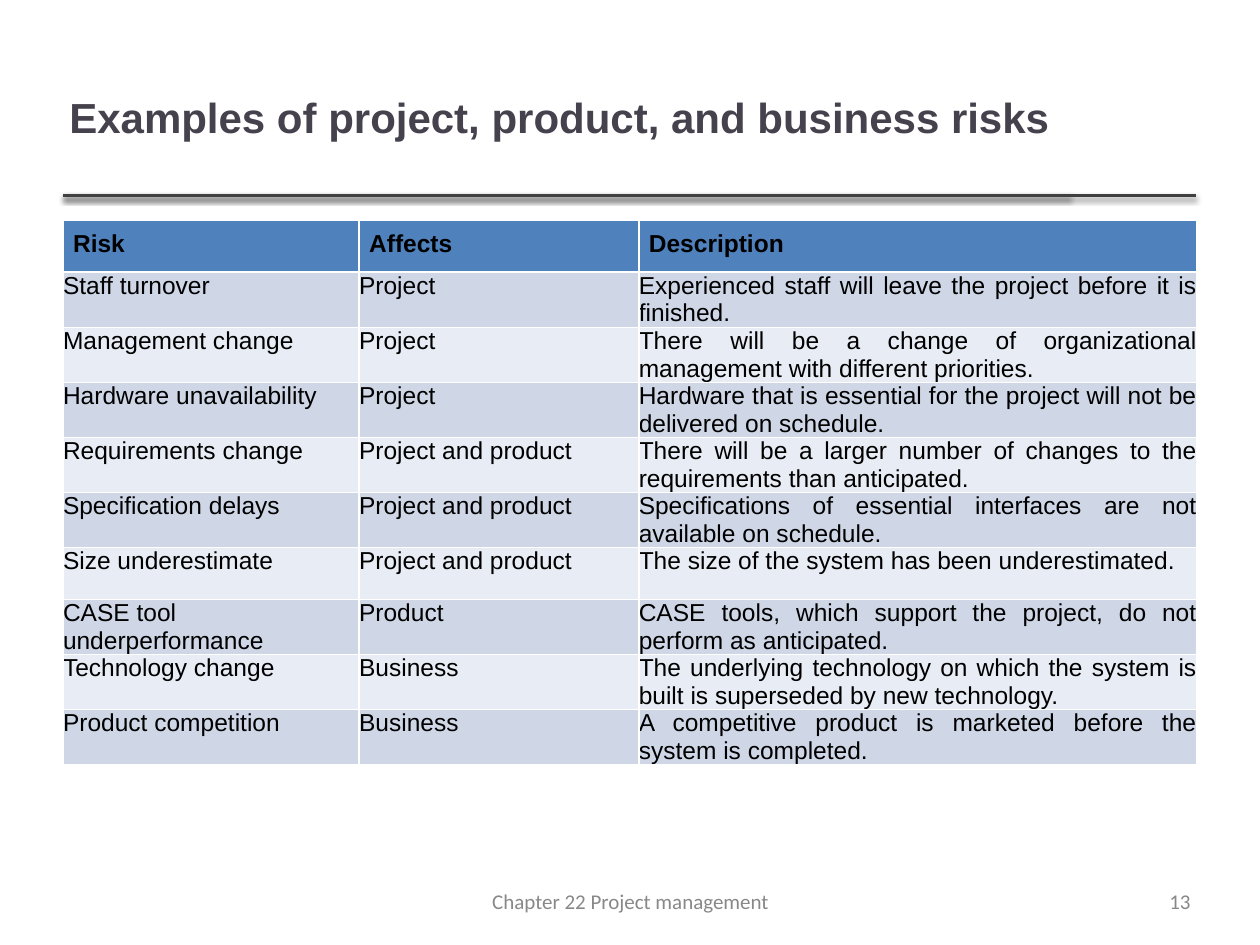
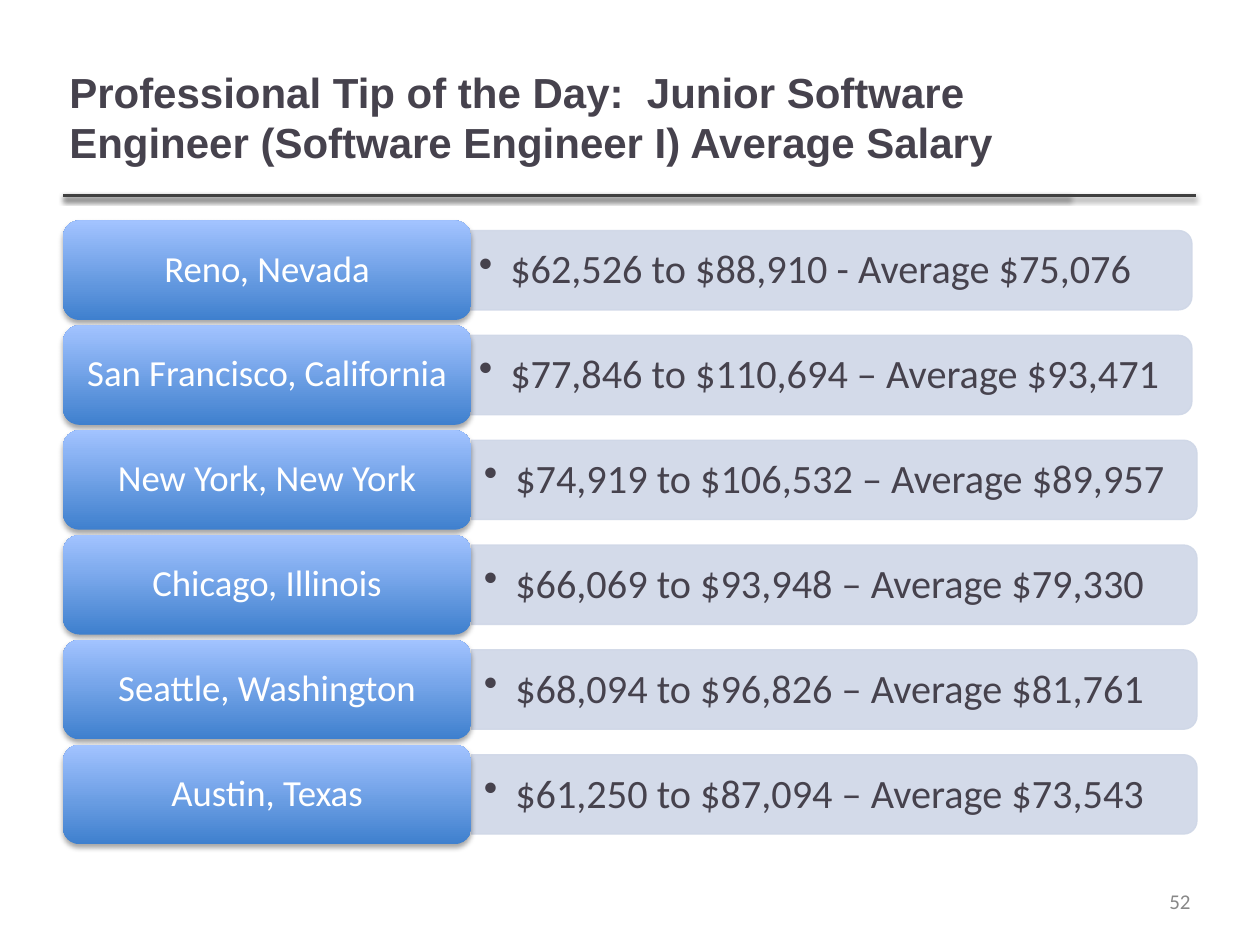
from pptx import Presentation
from pptx.dml.color import RGBColor
from pptx.enum.shapes import MSO_CONNECTOR, MSO_SHAPE
from pptx.enum.text import MSO_ANCHOR, MSO_AUTO_SIZE, PP_ALIGN
from pptx.oxml import parse_xml
from pptx.oxml.ns import nsdecls
from pptx.util import Inches, Pt

LEFT, CENTER, RIGHT, JUSTIFY = (
    PP_ALIGN.LEFT, PP_ALIGN.CENTER, PP_ALIGN.RIGHT, PP_ALIGN.JUSTIFY)
TOP, MIDDLE = MSO_ANCHOR.TOP, MSO_ANCHOR.MIDDLE
STRAIGHT = MSO_CONNECTOR.STRAIGHT
TILE, BAND = MSO_SHAPE.ROUNDED_RECTANGLE, MSO_SHAPE.ROUND_2_SAME_RECTANGLE
TITLE_ONLY = 5

INK, WHITE, BLACK, GRAY, RULE = "46424D", "FFFFFF", "000000", "888888", "404040"
HEADER_FILL, ROW_FILLS = "4F81BD", ("CFD7E7", "E8ECF4")
BAND_FILL, TILE_DARK, TILE_LIGHT = "CFD7E7", "3F80CE", "A2C3FF"

TITLE_FONT = dict(name="Arial", size=Pt(24), bold=True, color=INK)
FOOTER_FONT = dict(name="Calibri", size=Pt(12), color=GRAY)
HEADER_FONT = dict(name="Arial", size=Pt(14), bold=True, color=BLACK)
CELL_FONT = dict(HEADER_FONT, bold=False)
SALARY_FONT = dict(name="Calibri", size=Pt(23), color=INK)
CITY_FONT = dict(name="Calibri", size=Pt(21), color=WHITE)

RISK_COLUMNS = (2.35, 2.22, 4.43)
RISK_HEADER = ("Risk", "Affects", "Description")
RISKS = [
    ("Staff turnover", "Project",
     "Experienced staff will leave the project before it is finished."),
    ("Management change", "Project",
     "There will be a change of organizational management with different priorities."),
    ("Hardware unavailability", "Project",
     "Hardware that is essential for the project will not be delivered on schedule."),
    ("Requirements change", "Project and product",
     "There will be a larger number of changes to the requirements than anticipated."),
    ("Specification delays", "Project and product",
     "Specifications of essential interfaces are not available on schedule."),
    ("Size underestimate", "Project and product",
     "The size of the system has been underestimated."),
    ("CASE tool underperformance", "Product",
     "CASE tools, which support the project, do not perform as anticipated."),
    ("Technology change", "Business",
     "The underlying technology on which the system is built is superseded by new technology."),
    ("Product competition", "Business",
     "A competitive product is marketed before the system is completed."),
]

# City, salary range, left edge of the salary band
SALARIES = [
    ("Reno, Nevada", "$62,526 to $88,910 - Average $75,076", 3.7),
    ("San Francisco, California", "$77,846 to $110,694 – Average $93,471", 3.7),
    ("New York, New York", "$74,919 to $106,532 – Average $89,957", 3.74),
    ("Chicago, Illinois", "$66,069 to $93,948 – Average $79,330", 3.74),
    ("Seattle, Washington", "$68,094 to $96,826 – Average $81,761", 3.74),
    ("Austin, Texas", "$61,250 to $87,094 – Average $73,543", 3.74),
]
LIST_TOP, LIST_BOTTOM, TILE_HEIGHT = 1.75, 6.7, 0.79
BAND_LENGTH, BAND_HEIGHT = 5.76, 0.63


def rgb(code):
    return RGBColor.from_string(code)


def inches(*lengths):
    return [Inches(length) for length in lengths]


def set_margins(holder, margin):
    """Give a text frame or table cell the same inset on all sides."""
    for side in ("left", "top", "right", "bottom"):
        setattr(holder, f"margin_{side}", Inches(margin))


def write(frame, text, font, align=LEFT, spacing=None, bullet=False):
    """Put one formatted paragraph into a text frame."""
    para = frame.paragraphs[0]
    para.alignment = align
    para.line_spacing = spacing
    para.space_before = Pt(0)
    if bullet:
        properties = para._p.get_or_add_pPr()
        properties.set("marL", str(Inches(0.25)))
        properties.set("indent", str(-Inches(0.25)))
        properties.append(parse_xml(f'<a:buChar {nsdecls("a")} char="•"/>'))
    span = para.add_run()
    span.text = text
    for key, value in font.items():
        if key == "color":
            span.font.color.rgb = rgb(value)
        else:
            setattr(span.font, key, value)


def fill_frame(frame, text, font, margin=0.05, **layout):
    settings = dict(word_wrap=True, auto_size=MSO_AUTO_SIZE.NONE, vertical_anchor=MIDDLE)
    for key, value in settings.items():
        setattr(frame, key, value)
    set_margins(frame, margin)
    write(frame, text, font, **layout)


def add_text(page, box, text, font, **layout):
    fill_frame(page.shapes.add_textbox(*inches(*box)).text_frame, text, font, **layout)


def cast_shadow(shape, opacity, distance):
    """Add a soft shadow straight below a shape whose line is already set."""
    shape._element.spPr.append(parse_xml(
        f'<a:effectLst {nsdecls("a")}><a:outerShdw blurRad="{Pt(3)}" '
        f'dist="{Pt(distance)}" dir="5400000" rotWithShape="0">'
        f'<a:srgbClr val="{BLACK}"><a:alpha val="{opacity * 1000}"/></a:srgbClr>'
        '</a:outerShdw></a:effectLst>'))


def add_rule(page, right):
    rule = page.shapes.add_connector(STRAIGHT, *inches(0.5, 1.55, right, 1.55))
    rule.line.color.rgb = rgb(RULE)
    rule.line.width = Pt(2)
    cast_shadow(rule, 38, 1.6)


def add_page(deck, title, number):
    page = deck.slides.add_slide(deck.slide_layouts[TITLE_ONLY])
    heading = page.shapes.title
    heading.left, heading.top, heading.width, heading.height = inches(0.5, 0.3, 7.98, 1.25)
    fill_frame(heading.text_frame, title, TITLE_FONT)
    for right in (8.49, 9.49):
        add_rule(page, right)
    add_text(page, (9.2, 7.02, 0.3, 0.27), number, FOOTER_FONT, align=RIGHT)
    return page


def add_risk_table(page):
    rows = [RISK_HEADER, *RISKS]
    table = page.shapes.add_table(
        len(rows), len(RISK_COLUMNS), *inches(0.5, 1.75, 9, 0.41 * len(rows))).table
    for column, width in zip(table.columns, RISK_COLUMNS):
        column.width = Inches(width)
    for i, row in enumerate(rows):
        header = i == 0
        for j, text in enumerate(row):
            cell = table.cell(i, j)
            set_margins(cell, 0.08 if header else 0)
            cell.vertical_anchor = TOP
            cell.fill.solid()
            cell.fill.fore_color.rgb = rgb(HEADER_FILL if header else ROW_FILLS[(i - 1) % 2])
            write(cell.text_frame, text, HEADER_FONT if header else CELL_FONT,
                  align=JUSTIFY if header or j == 2 else LEFT)


def add_salary_band(page, left, middle, text):
    """Draw a band rounded at its right end: an upright shape turned by 90 degrees."""
    band = page.shapes.add_shape(BAND, *inches(
        left + (BAND_LENGTH - BAND_HEIGHT) / 2, middle - BAND_LENGTH / 2,
        BAND_HEIGHT, BAND_LENGTH))
    band.rotation = 90
    band.shadow.inherit = False
    band.fill.solid()
    band.fill.fore_color.rgb = rgb(BAND_FILL)
    band.line.color.rgb = rgb(BAND_FILL)
    band.line.width = Pt(0.75)
    for color in band._element.spPr.xpath(".//a:srgbClr"):
        color.append(parse_xml(f'<a:alpha {nsdecls("a")} val="90000"/>'))
    add_text(page, (left + 0.05, middle - 0.2, 5.63, 0.41), text, SALARY_FONT,
             spacing=0.9, bullet=True)


def add_city_tile(page, top, city):
    tile = page.shapes.add_shape(TILE, *inches(0.5, top, 3.24, TILE_HEIGHT))
    tile.fill.gradient()
    tile.fill.gradient_angle = 90
    for stop, position, color in zip(tile.fill.gradient_stops, (0, 1), (TILE_DARK, TILE_LIGHT)):
        stop.position = position
        stop.color.rgb = rgb(color)
    tile.line.fill.background()
    cast_shadow(tile, 35, 1.8)
    fill_frame(tile.text_frame, city, CITY_FONT, margin=0.12, align=CENTER, spacing=0.9)


def add_salary_list(page):
    pitch = (LIST_BOTTOM - TILE_HEIGHT - LIST_TOP) / (len(SALARIES) - 1)
    for i, (city, salary, band_left) in enumerate(SALARIES):
        top = LIST_TOP + i * pitch
        add_salary_band(page, band_left, top + TILE_HEIGHT / 2, salary)
        add_city_tile(page, top, city)


def main():
    deck = Presentation()
    deck.slide_width, deck.slide_height = inches(10, 7.5)

    risks = add_page(deck, "Examples of project, product, and business risks", "13")
    add_text(risks, (3.47, 7.02, 3.07, 0.27), "Chapter 22 Project management",
             FOOTER_FONT, align=CENTER)
    add_risk_table(risks)

    salaries = add_page(
        deck, "Professional Tip of the Day:  Junior Software Engineer "
        "(Software Engineer I) Average Salary", "52")
    add_salary_list(salaries)

    deck.save("out.pptx")


if __name__ == "__main__":
    main()
